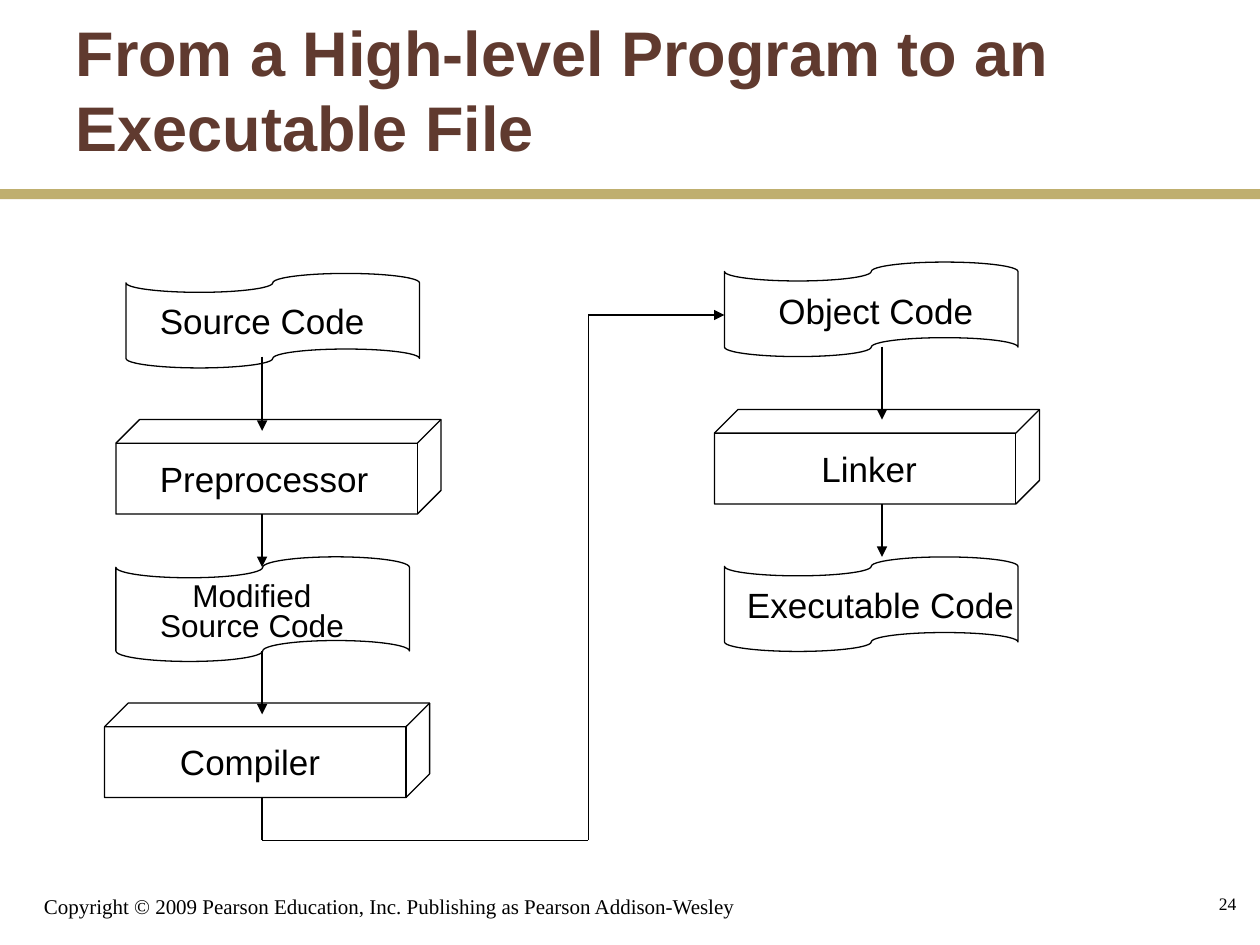
"""Build the slide that follows a program from source code to an executable file."""
from dataclasses import dataclass

from lxml import etree
from pptx import Presentation
from pptx.dml.color import RGBColor
from pptx.enum import shapes, text
from pptx.oxml.ns import qn
from pptx.util import Inches, Pt

TAPE = shapes.MSO_SHAPE.FLOWCHART_PUNCHED_TAPE
CUBE = shapes.MSO_SHAPE.CUBE
ALIGN = text.PP_ALIGN
ANCHOR = text.MSO_ANCHOR


@dataclass(frozen=True)
class Theme:
    ink: RGBColor = RGBColor(0, 0, 0)
    heading: RGBColor = RGBColor(0x60, 0x3A, 0x2F)
    band: RGBColor = RGBColor(0xBF, 0xAF, 0x6F)
    sans: str = "Arial"
    serif: str = "Times New Roman"
    title_size: int = 36
    label_size: int = 20
    small_label_size: int = 18
    footer_size: int = 12
    number_size: int = 10
    line_width: float = 0.75


@dataclass(frozen=True)
class Stage:
    kind: shapes.MSO_SHAPE
    left: float
    top: float
    height: float = 0.75

    @property
    def width(self) -> float:
        return 2.58 if self.kind == CUBE else 2.33


@dataclass(frozen=True)
class Label:
    wording: str
    left: float
    top: float
    width: float


@dataclass(frozen=True)
class Link:
    start: tuple[float, float]
    end: tuple[float, float]
    arrow: bool = True


THEME = Theme()
LEFT_AXIS, RIGHT_AXIS, RISER, FLOOR, ENTRY = 2.08, 7, 4.67, 6.67, 2.5

STAGES = [
    Stage(TAPE, 1, 2.17),
    Stage(CUBE, 0.92, 3.33),
    Stage(TAPE, 0.92, 4.42, 0.83),
    Stage(CUBE, 0.83, 5.58),
    Stage(TAPE, 5.75, 2.08),
    Stage(CUBE, 5.67, 3.25),
    Stage(TAPE, 5.75, 4.42),
]
LABELS = [
    Label("Source Code", 1.17, 2.33, 1.82),
    Label("Preprocessor", 1.17, 3.58, 1.85),
    Label("Compiler", 1.33, 5.83, 1.31),
    Label("Object Code", 6.08, 2.25, 1.74),
    Label("Linker", 6.42, 3.5, 0.96),
    Label("Executable Code", 5.83, 4.58, 2.32),
]
DROPS = [
    (LEFT_AXIS, 2.83, 3.42),
    (LEFT_AXIS, 4.08, 4.5),
    (LEFT_AXIS, 5.17, 5.67),
    (RIGHT_AXIS, 2.75, 3.33),
    (RIGHT_AXIS, 4, 4.42),
]
ROUTE = [(LEFT_AXIS, 6.33), (LEFT_AXIS, FLOOR), (RISER, FLOOR), (RISER, ENTRY), (5.75, ENTRY)]


def write(box, wording: str, *, size: float, font: str = THEME.sans,
          color: RGBColor = THEME.ink, bold: bool = False, align=ALIGN.LEFT,
          anchor=ANCHOR.TOP, wrap: bool = True, spacing: float = 1.0) -> None:
    """Fill a shape with one formatted paragraph per line of wording."""
    frame = box.text_frame
    frame.text = wording
    frame.word_wrap = wrap
    frame.auto_size = text.MSO_AUTO_SIZE.NONE
    frame.vertical_anchor = anchor
    for para in frame.paragraphs:
        para.alignment = align
        para.line_spacing = spacing
        for span in para.runs:
            span.font.name = font
            span.font.size = Pt(size)
            span.font.bold = bold
            span.font.color.rgb = color


def add_text(page, left: float, top: float, width: float, height: float,
             wording: str, **style) -> None:
    """Add a text box with formatted wording."""
    box = page.shapes.add_textbox(Inches(left), Inches(top), Inches(width), Inches(height))
    write(box, wording, **style)


def add_stage(page, stage: Stage) -> None:
    """Draw the outline of one stage."""
    shape = page.shapes.add_shape(stage.kind, Inches(stage.left), Inches(stage.top),
                                  Inches(stage.width), Inches(stage.height))
    shape.shadow.inherit = False
    shape.fill.background()
    shape.line.color.rgb = THEME.ink
    shape.line.width = Pt(THEME.line_width)


def add_link(page, link: Link) -> None:
    """Draw a straight line, with an arrowhead at its end if wanted."""
    points = [Inches(value) for value in (*link.start, *link.end)]
    line = page.shapes.add_connector(shapes.MSO_CONNECTOR.STRAIGHT, *points)
    line.line.color.rgb = THEME.ink
    line.line.width = Pt(THEME.line_width)
    properties = line._element.spPr
    if link.arrow:
        etree.SubElement(properties.find(qn("a:ln")), qn("a:tailEnd"), type="triangle")
    etree.SubElement(properties, qn("a:effectLst"))


def add_band(page) -> None:
    """Draw the coloured band under the title."""
    band = page.shapes.add_shape(shapes.MSO_SHAPE.RECTANGLE, 0, Inches(1.5),
                                 Inches(10), Inches(0.08))
    band.shadow.inherit = False
    band.fill.solid()
    band.fill.fore_color.rgb = THEME.band
    band.line.fill.background()


def add_title(page, wording: str) -> None:
    """Place and format the title placeholder."""
    title = page.shapes.title
    title.left, title.top = Inches(0.5), Inches(0.08)
    title.width, title.height = Inches(8.33), Inches(1.25)
    write(title, wording, size=THEME.title_size, color=THEME.heading, bold=True,
          anchor=ANCHOR.MIDDLE)


def main() -> None:
    """Build and save the deck."""
    deck = Presentation()
    deck.slide_width, deck.slide_height = Inches(10), Inches(7.5)
    page = deck.slides.add_slide(deck.slide_layouts[5])
    add_text(page, 0.25, 6.92, 6.08, 0.42,
             "Copyright © 2009 Pearson Education, Inc. Publishing as Pearson Addison-Wesley",
             size=THEME.footer_size, font=THEME.serif, anchor=ANCHOR.BOTTOM)
    add_band(page)
    add_title(page, "From a High-level Program to an Executable File")
    for stage in STAGES:
        add_stage(page, stage)
    for label in LABELS:
        add_text(page, label.left, label.top, label.width, 0.44, label.wording,
                 size=THEME.label_size, wrap=False)
    add_text(page, 1.17, 4.58, 1.66, 0.58, "Modified\nSource Code",
             size=THEME.small_label_size, align=ALIGN.CENTER, spacing=0.8)
    for axis, top, bottom in DROPS:
        add_link(page, Link((axis, top), (axis, bottom)))
    for start, end in zip(ROUTE, ROUTE[1:]):
        add_link(page, Link(start, end, arrow=end == ROUTE[-1]))
    add_text(page, 7.83, 6.92, 2.08, 0.5, "24", size=THEME.number_size,
             font=THEME.serif, align=ALIGN.RIGHT, anchor=ANCHOR.MIDDLE)
    deck.save("out.pptx")


if __name__ == "__main__":
    main()
